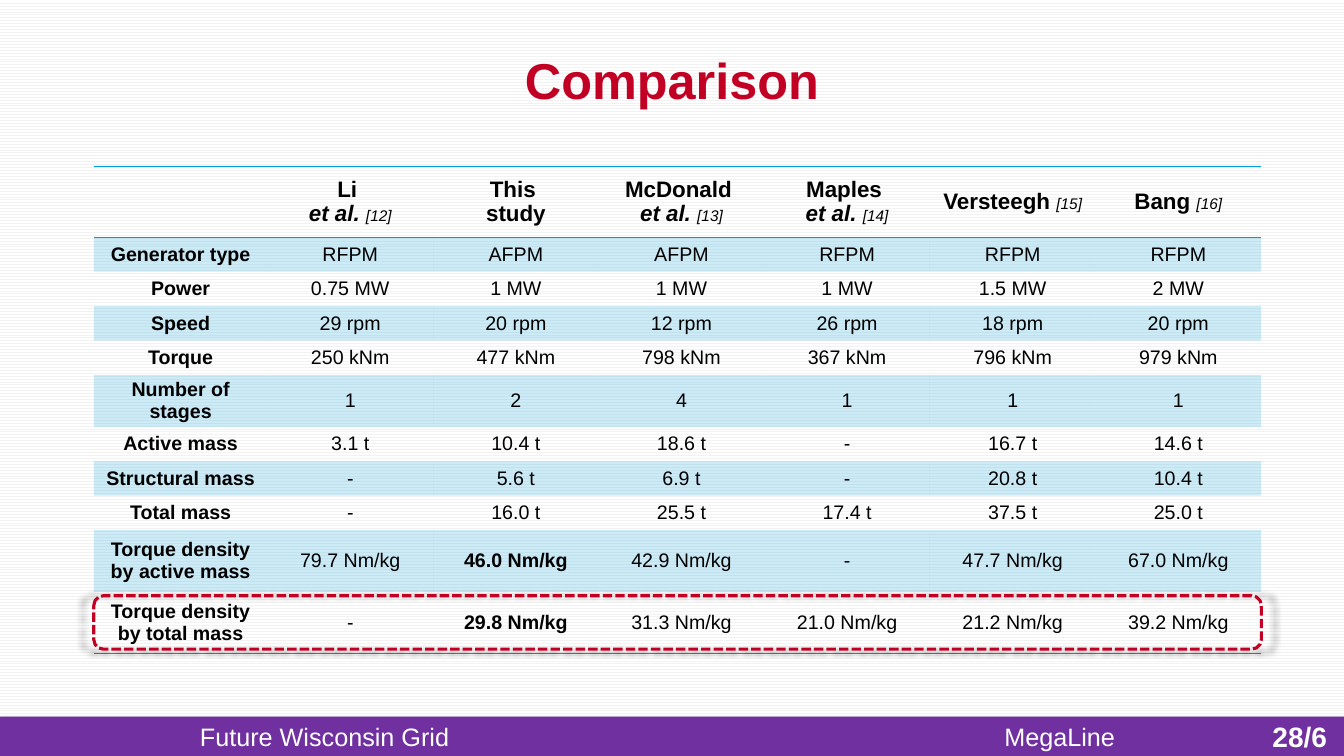
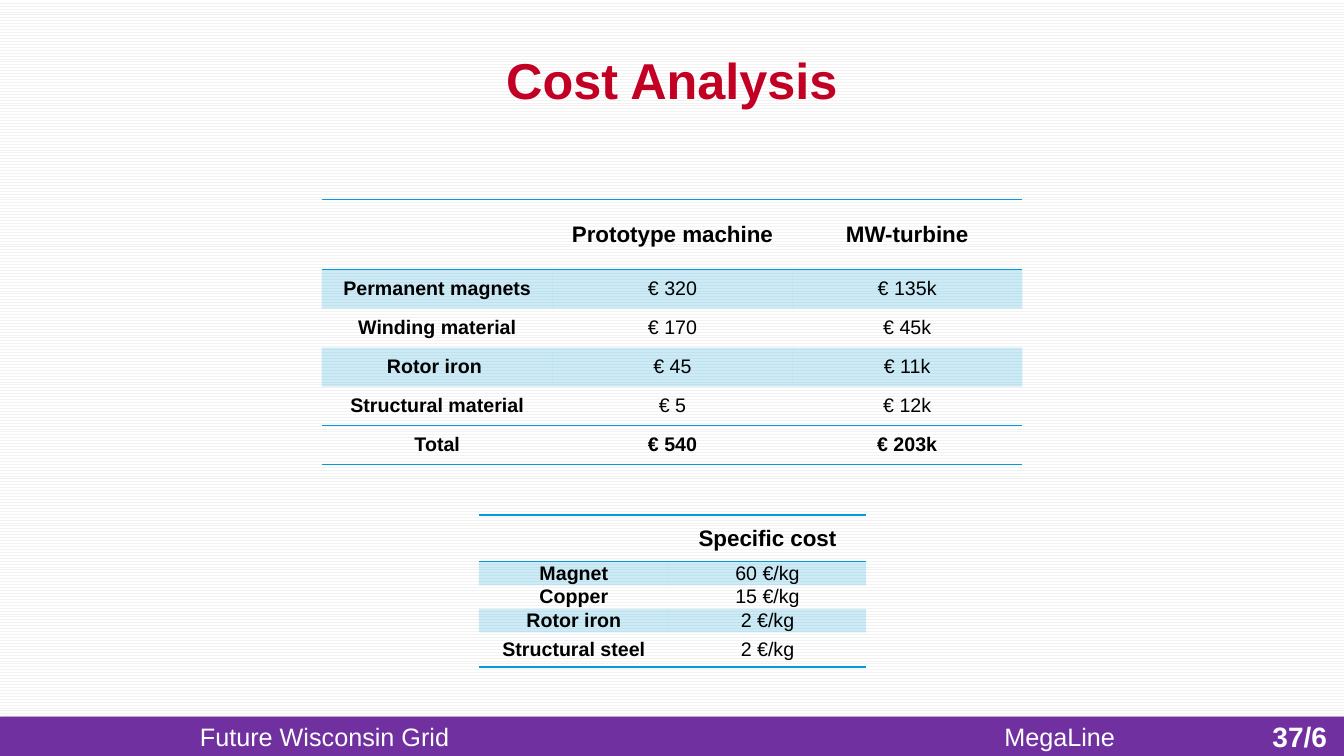
from dataclasses import dataclass

from lxml import etree
from pptx import Presentation
from pptx import util as u
from pptx.dml.color import RGBColor
from pptx.enum import dml, shapes, text
from pptx.oxml import ns

WIDTH, HEIGHT = u.Inches(13.33), u.Inches(7.5)
FONT = "Arial"
COLOURS = {
    "title": "C20024",
    "band": "7030A0",
    "rule": "009DD9",
    "ink": "000000",
    "paper": "FFFFFF",
    "weave": "F2F2F2",
}
NO_STYLE = "{2D5ABB26-0587-4C30-8999-92F81FD0307C}"
HEAD_SIZE, BODY_SIZE, CITE_SIZE = 16, 14, 11


@dataclass(frozen=True)
class Frame:
    """Place of an element, in percent of the slide's width and height."""
    left: float
    top: float
    width: float
    height: float

    def lengths(self) -> tuple[int, ...]:
        return (round(WIDTH * self.left / 100), round(HEIGHT * self.top / 100),
                round(WIDTH * self.width / 100), round(HEIGHT * self.height / 100))


@dataclass(frozen=True)
class Span:
    words: str
    size: float = BODY_SIZE
    bold: bool = False
    italic: bool = False
    colour: str = "ink"


Line = list[Span]


@dataclass(frozen=True)
class Label:
    frame: Frame
    span: Span
    align: text.PP_ALIGN = text.PP_ALIGN.CENTER


@dataclass(frozen=True)
class Shadow:
    alpha: int
    blur: float
    distance: float = 0
    angle: int = 0
    scale: int = 100


@dataclass(frozen=True)
class Grid:
    """A table: columns and rows are weights that share out the frame."""
    frame: Frame
    columns: list[float]
    rows: list[float]
    head: list[list[Line]]
    body: list[str]
    strong: tuple[str, ...] = ()
    has_total: bool = False


@dataclass(frozen=True)
class Page:
    title: str
    number: str
    grids: list[Grid]
    outline: Frame | None = None


# Shared drawing tools
def colour(name: str) -> RGBColor:
    return RGBColor.from_string(COLOURS[name])


def add_child(parent, tag: str, **attributes):
    child = etree.SubElement(parent, ns.qn(tag))
    for key, value in attributes.items():
        child.set(key, str(value))
    return child


def write_lines(frame, lines: list[Line], align=text.PP_ALIGN.CENTER) -> None:
    for index, line in enumerate(lines):
        para = frame.add_paragraph() if index else frame.paragraphs[0]
        para.alignment = align
        for span in line:
            run = para.add_run()
            run.text = span.words
            font = run.font
            font.name, font.size = FONT, u.Pt(span.size)
            font.bold, font.italic = span.bold, span.italic
            font.color.rgb = colour(span.colour)


def draw_label(page, label: Label) -> None:
    box = page.shapes.add_textbox(*label.frame.lengths())
    box.text_frame.word_wrap = True
    box.text_frame.vertical_anchor = text.MSO_ANCHOR.MIDDLE
    write_lines(box.text_frame, [[label.span]], label.align)


def draw_shape(page, kind: shapes.MSO_SHAPE, frame: Frame, shadow: Shadow):
    shape = page.shapes.add_shape(kind, *frame.lengths())
    shape.fill.background()
    shape.line.fill.background()
    shape.shadow.inherit = False
    effects = shape._element.spPr.find(ns.qn("a:effectLst"))
    outer = add_child(effects, "a:outerShdw", blurRad=u.Pt(shadow.blur),
                      dist=u.Pt(shadow.distance), dir=shadow.angle * 60000,
                      sx=shadow.scale * 1000, sy=shadow.scale * 1000,
                      algn="ctr", rotWithShape=0)
    tint = add_child(outer, "a:srgbClr", val=COLOURS["ink"])
    add_child(tint, "a:alpha", val=shadow.alpha * 1000)
    return shape


# Tables
def rule_cell(cell, sides: list[str]) -> None:
    properties = cell._tc.get_or_add_tcPr()
    for index, side in enumerate(sides):
        line = add_child(properties, f"a:ln{side}", w=u.Pt(1))
        fill = add_child(line, "a:solidFill")
        add_child(fill, "a:srgbClr", val=COLOURS["rule"])
        properties.insert(index, line)


def fill_cell(cell, banded: bool) -> None:
    if not banded:
        cell.fill.background()
        return
    cell.fill.solid()
    cell.fill.fore_color.rgb = colour("rule")
    tint = cell._tc.tcPr.find(".//" + ns.qn("a:srgbClr"))
    add_child(tint, "a:alpha", val=20000)


def body_cells(grid: Grid) -> list[list[list[Line]]]:
    rows = []
    for index, row in enumerate(grid.body, start=1):
        total = grid.has_total and index == len(grid.body)
        rows.append([[[Span(words, bold=total or not column or words in grid.strong)]]
                     for column, words in enumerate(row.split("|"))])
    return rows


def draw_grid(page, grid: Grid) -> None:
    left, top, width, height = grid.frame.lengths()
    table = page.shapes.add_table(len(grid.rows), len(grid.columns),
                                  left, top, width, height).table
    table.first_row = table.horz_banding = False
    table._tbl.tblPr.find(ns.qn("a:tableStyleId")).text = NO_STYLE
    for column, weight in zip(table.columns, grid.columns):
        column.width = round(width * weight / sum(grid.columns))
    for row, weight in zip(table.rows, grid.rows):
        row.height = round(height * weight / sum(grid.rows))

    last = len(grid.rows) - 1
    for row, cells in enumerate([grid.head, *body_cells(grid)]):
        total = grid.has_total and row == last
        sides = ["T"] if row == 0 or total else []
        sides += ["B"] if row in (0, last) else []
        for column, lines in enumerate(cells):
            cell = table.cell(row, column)
            cell.margin_left = cell.margin_right = u.Inches(0.07)
            cell.margin_top = cell.margin_bottom = 0
            cell.vertical_anchor = text.MSO_ANCHOR.MIDDLE
            write_lines(cell.text_frame, lines)
            fill_cell(cell, row % 2 == 1 and not total)
            rule_cell(cell, sides)


# Table headings
def heading(*lines: str) -> list[Line]:
    return [[Span(words, HEAD_SIZE, bold=True)] for words in lines]


def cited(name: str, number: int, et_al: bool = False) -> list[Line]:
    lines = heading(name)
    if et_al:
        lines.append([Span("et al. ", HEAD_SIZE, bold=True, italic=True)])
    lines[-1].append(Span(f"[{number}]", CITE_SIZE, italic=True))
    return lines


# Page furniture
def draw_furniture(page, title: str, number: str) -> None:
    bar = draw_shape(page, shapes.MSO_SHAPE.RECTANGLE, Frame(0, 94.8, 100, 5.2),
                     Shadow(alpha=35, blur=3.1, distance=1.8, angle=90))
    bar.fill.solid()
    bar.fill.fore_color.rgb = colour("band")
    labels = [
        Label(Frame(57.69, 94.67, 42.31, 5.47), Span("MegaLine", 18, colour="paper")),
        Label(Frame(91.9, 94.4, 7.58, 5.87),
              Span(number, 20, bold=True, colour="paper"), text.PP_ALIGN.RIGHT),
        Label(Frame(-0.3, 94, 48.91, 6.8),
              Span("Future Wisconsin Grid", 18, colour="paper")),
        Label(Frame(0, 3.87, 100, 13.33), Span(title, 36, bold=True, colour="title")),
    ]
    for label in labels:
        draw_label(page, label)


def draw_outline(page, frame: Frame) -> None:
    outline = draw_shape(page, shapes.MSO_SHAPE.ROUNDED_RECTANGLE, frame,
                         Shadow(alpha=40, blur=5, scale=102))
    outline.adjustments[0] = 0.18
    outline.line.color.rgb = colour("title")
    outline.line.width = u.Pt(2.25)
    outline.line.dash_style = dml.MSO_LINE.SQUARE_DOT


# Content
COMPARISON = Grid(
    frame=Frame(6.98, 22, 86.87, 64.53),
    columns=[1.72] + [1.64] * 6,
    rows=[0.7] + [0.34] * 4 + [0.51] + [0.34] * 3 + [0.61] * 2,
    head=[[], cited("Li ", 12, True), heading("This ", "study"),
          cited("McDonald ", 13, True), cited("Maples ", 14, True),
          cited("Versteegh ", 15), cited("Bang ", 16)],
    body=[
        "Generator type|RFPM|AFPM|AFPM|RFPM|RFPM|RFPM",
        "Power|0.75 MW|1 MW|1 MW|1 MW|1.5 MW|2 MW",
        "Speed|29 rpm|20 rpm|12 rpm|26 rpm|18 rpm|20 rpm",
        "Torque|250 kNm|477 kNm|798 kNm|367 kNm|796 kNm|979 kNm",
        "Number of stages|1|2|4|1|1|1",
        "Active mass|3.1 t|10.4 t|18.6 t|-|16.7 t|14.6 t",
        "Structural mass|-|5.6 t|6.9 t|-|20.8 t|10.4 t",
        "Total mass|-|16.0 t|25.5 t|17.4 t|37.5 t|25.0 t",
        "Torque density by active mass|79.7 Nm/kg|46.0 Nm/kg|42.9 Nm/kg|-"
        "|47.7 Nm/kg|67.0 Nm/kg",
        "Torque density by total mass|-|29.8 Nm/kg|31.3 Nm/kg|21.0 Nm/kg"
        "|21.2 Nm/kg|39.2 Nm/kg",
    ],
    strong=("46.0 Nm/kg", "29.8 Nm/kg"),
)
MACHINE_COST = Grid(
    frame=Frame(23.93, 26.4, 52.14, 35.07),
    columns=[2.29, 2.37, 2.28],
    rows=[0.7] + [0.39] * 5,
    head=[[], heading("Prototype machine"), heading("MW-turbine")],
    body=["Permanent magnets|€ 320|€ 135k", "Winding material|€ 170|€ 45k",
          "Rotor iron |€ 45|€ 11k", "Structural material|€ 5|€ 12k",
          "Total|€ 540|€ 203k"],
    has_total=True,
)
SPECIFIC_COST = Grid(
    frame=Frame(35.63, 68.13, 28.81, 20),
    columns=[1.88, 1.95],
    rows=[0.46] + [0.23] * 3 + [0.34],
    head=[[], heading("Specific cost")],
    body=["Magnet|60 €/kg", "Copper|15 €/kg", "Rotor iron|2 €/kg",
          "Structural steel|2 €/kg"],
)
PAGES = [
    Page("Comparison", "28/6", [COMPARISON], Frame(6.98, 78.8, 86.87, 7.07)),
    Page("Cost Analysis", "37/6", [MACHINE_COST, SPECIFIC_COST]),
]


def main() -> None:
    deck = Presentation()
    deck.slide_width, deck.slide_height = WIDTH, HEIGHT
    backdrop = deck.slide_master.background.fill
    backdrop.patterned()
    backdrop.pattern = dml.MSO_PATTERN.ZIG_ZAG
    backdrop.fore_color.rgb = colour("weave")
    backdrop.back_color.rgb = colour("paper")

    for content in PAGES:
        page = deck.slides.add_slide(deck.slide_layouts[6])
        draw_furniture(page, content.title, content.number)
        for grid in content.grids:
            draw_grid(page, grid)
        if content.outline:
            draw_outline(page, content.outline)
    deck.save("out.pptx")


if __name__ == "__main__":
    main()
